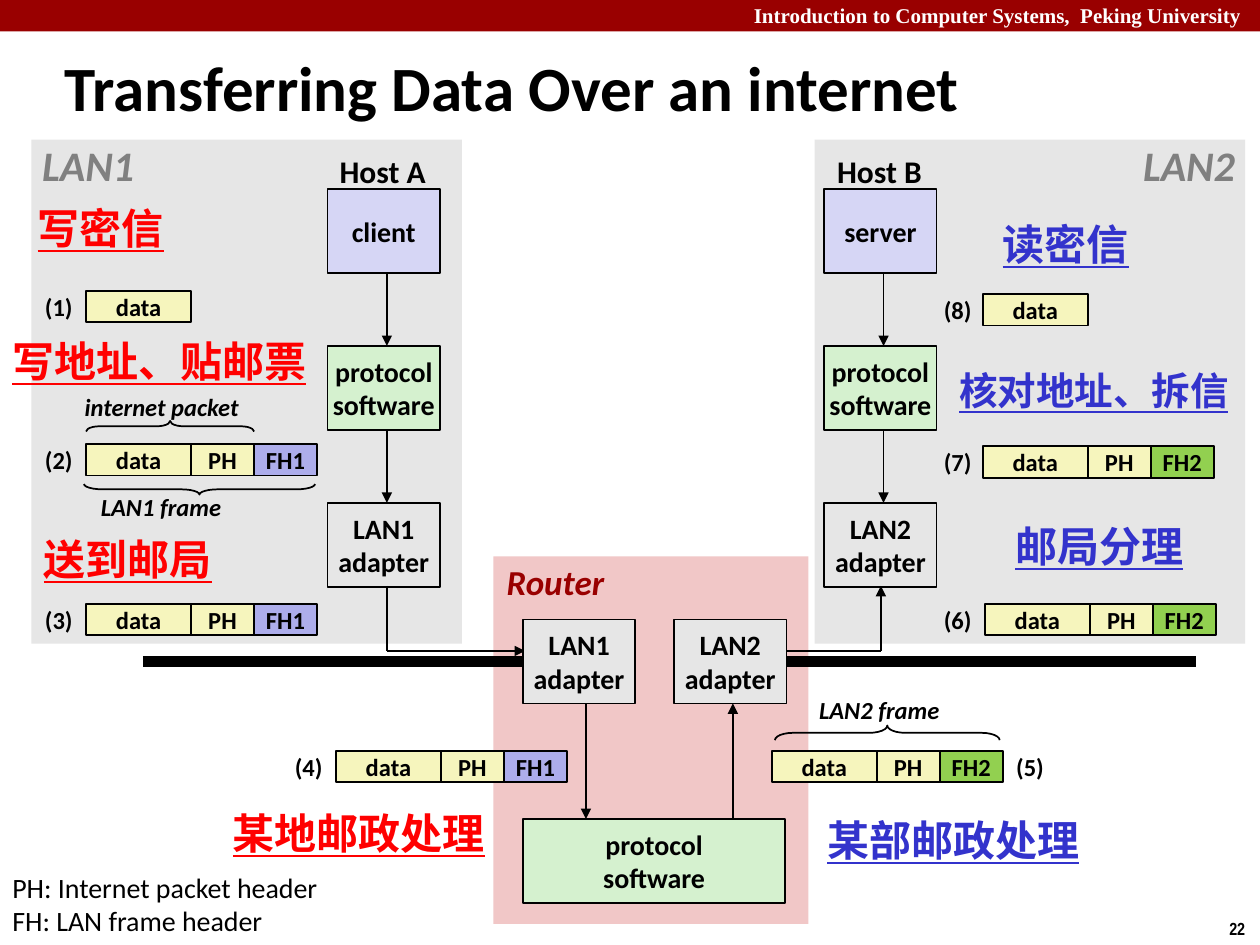
from lxml import etree
from pptx import Presentation
from pptx import util as u
from pptx.dml.color import RGBColor
from pptx.enum import shapes, text
from pptx.oxml import ns

CELL = u.Inches(1) / 12
COLUMNS, ROWS = 120, 90
BLACK, GRAY, RED, BLUE = "000000", "E6E6E6", "FF0000", "3333CC"
DARK_RED, CREAM, GREEN, LILAC = "990000", "F6F5BD", "D5F1CF", "D6D6F5"
FRAME_COLORS = {"FH1": "ADADEB", "FH2": "92D050"}
BOX_WIDTH, BOX_HEIGHT = 10.7, 8
PACKET_WIDTHS = {"data": 10, "PH": 6, "FH1": 6, "FH2": 6}
CJK = "Noto Sans CJK SC"
CENTER, LEFT, RIGHT = text.PP_ALIGN.CENTER, text.PP_ALIGN.LEFT, text.PP_ALIGN.RIGHT


def cells(*values):
    """Turn grid cells into slide lengths."""
    return [u.Emu(round(value * CELL)) for value in values]


def color(target, value):
    """Apply a hex colour to a fill or a font colour."""
    if hasattr(target, "solid"):
        target.solid()
        target = target.fore_color
    target.rgb = RGBColor.from_string(value)


def write(shape, lines, size, ink=BLACK, font="Calibri", align=CENTER, bold=True,
          italic=False, underline=False, wrap=False, middle=True):
    """Fill a shape with one paragraph for each line."""
    frame = shape.text_frame
    frame.word_wrap = wrap
    frame.vertical_anchor = text.MSO_ANCHOR.MIDDLE if middle else text.MSO_ANCHOR.TOP
    for index, line in enumerate(lines.split("\n")):
        paragraph = frame.add_paragraph() if index else frame.paragraphs[0]
        paragraph.alignment = align
        run = paragraph.add_run()
        run.text = line
        run.font.name, run.font.size = font, u.Pt(size)
        run.font.bold, run.font.italic, run.font.underline = bold, italic, underline
        color(run.font.color, ink)
        if font == CJK:
            east_asian = etree.SubElement(run.font._element, ns.qn("a:ea"))
            east_asian.set("typeface", font)


def label(slide, box, lines, size, **style):
    """Place a text box."""
    write(slide.shapes.add_textbox(*cells(*box)), lines, size, **style)


def block(slide, box, fill, lines="", size=16, outlined=True):
    """Place a filled rectangle with optional text."""
    shape = slide.shapes.add_shape(shapes.MSO_SHAPE.RECTANGLE, *cells(*box))
    shape.shadow.inherit = False
    color(shape.fill, fill)
    if outlined:
        color(shape.line.fill, BLACK)
        shape.line.width = u.Pt(1)
    else:
        shape.line.fill.background()
    if lines:
        write(shape, lines, size)


def line(slide, start, end, width=1, arrow=True):
    """Draw a straight line, with an arrowhead at its end if asked."""
    connector = slide.shapes.add_connector(
        shapes.MSO_CONNECTOR.STRAIGHT, *cells(*start, *end))
    color(connector.line.fill, BLACK)
    connector.line.width = u.Pt(width)
    if arrow:
        head = etree.SubElement(connector.line._get_or_add_ln(), ns.qn("a:tailEnd"))
        head.set("type", "triangle")
    etree.SubElement(connector._element.spPr, ns.qn("a:effectLst"))


def brace(slide, box, rotation):
    """Draw a horizontal brace that fills a box, pointing up at 90 and down at 270."""
    left, top, width, height = box
    upright = (left + (width - height) / 2, top + (height - width) / 2, height, width)
    shape = slide.shapes.add_shape(shapes.MSO_SHAPE.LEFT_BRACE, *cells(*upright))
    shape.shadow.inherit = False
    shape.rotation = rotation
    shape.adjustments[0] = width / height / 12.5
    shape.fill.background()
    color(shape.line.fill, BLACK)
    shape.line.width = u.Pt(1)


def packet(slide, left, top, step, parts, step_offset):
    """Lay packet fields side by side with a step number beside them."""
    label(slide, (left + step_offset, top - 0.5, 5.2, 4), f"({step})", 14)
    for part in parts.split():
        block(slide, (left, top, PACKET_WIDTHS[part], 3),
              FRAME_COLORS.get(part, CREAM), part, 14)
        left += PACKET_WIDTHS[part]


def header(slide, box):
    """Draw the course banner, the title and the page number."""
    left, top, width, height = box
    block(slide, (left, top, width, 3), DARK_RED, outlined=False)
    label(slide, (left + 57, top - 0.35, 62.9, 3.6),
          "Introduction to Computer Systems,  Peking University ", 12, ink="FFFFFF",
          font="Times New Roman", align=RIGHT, wrap=True, middle=False)
    label(slide, (left + 5, top + 4.45, 104.2, 7.6),
          "Transferring Data Over an internet", 36, align=LEFT, wrap=True)
    label(slide, (left + width - 4.1, top + height - 3.2, 4.1, 3.2), "22", 10,
          font="Arial Narrow", align=LEFT, middle=False)


def lan(slide, box, name, name_left, host, role, stack_left):
    """Draw a LAN panel with its host's stack of three boxes."""
    left, top, width, height = box
    block(slide, box, GRAY, outlined=False)
    label(slide, (left + name_left, top - 0.6, 11.3, 6), name, 24, ink="808080", italic=True)
    stack = left + stack_left
    label(slide, (stack - 0.1, top + 0.55, BOX_WIDTH, 4.8), host, 18)
    layers = ((LILAC, role), (GREEN, "protocol\nsoftware"), (GRAY, f"{name}\nadapter"))
    for index, (fill, lines) in enumerate(layers):
        layer_top = top + 4.7 + 14.95 * index
        block(slide, (stack, layer_top, BOX_WIDTH, BOX_HEIGHT), fill, lines)
        if index:
            line(slide, (stack + 5.65, layer_top - 6.95), (stack + 5.65, layer_top))


def network(slide, box):
    """Draw the thick cables and the links from hosts to router."""
    left, top, width, height = box
    for start in (left, left + width - 39):
        line(slide, (start, top + height), (start + 39, top + height), 6, arrow=False)
    bend = top + height - 1
    line(slide, (left + 23.25, top), (left + 23.25, bend), arrow=False)
    line(slide, (left + 23.25, bend), (left + 36.4, bend))
    line(slide, (left + 61.3, bend), (left + 70.3, bend), arrow=False)
    line(slide, (left + 70.3, bend), (left + 70.3, top))


def router(slide, box):
    """Draw the router's two adapters and its protocol software."""
    left, top, width, height = box
    label(slide, (left, top - 0.2, 11.8, 5.2), "Router", 20, ink=DARK_RED, italic=True)
    upper, lower = top + 6, top + 25
    for offset, name in ((2.8, "LAN1"), (17.2, "LAN2")):
        block(slide, (left + offset, upper, BOX_WIDTH, BOX_HEIGHT), GRAY, f"{name}\nadapter")
    block(slide, (left + 2.8, lower, 25, BOX_HEIGHT), GREEN, "protocol\nsoftware")
    line(slide, (left + 8.8, upper + BOX_HEIGHT), (left + 8.8, lower))
    line(slide, (left + 22.8, lower), (left + 22.8, upper + BOX_HEIGHT))


def packets(slide):
    """Place the packet at each of the eight steps."""
    steps = ((8.2, 27.7, "data", -5.2), (8.2, 42.3, "data PH FH1", -5.2),
             (8.2, 57.5, "data PH FH1", -5.2), (32, 71.5, "data PH FH1", -5.2),
             (73.5, 71.5, "data PH FH2", 22), (93.8, 57.5, "data PH FH2", -5.2),
             (93.6, 42.5, "data PH FH2", -5), (93.6, 28, "data", -5))
    for step, (left, top, parts, step_offset) in enumerate(steps, 1):
        packet(slide, left, top, step, parts, step_offset)
    braces = (((8.2, 40.1, 16, 1), 90, (6.8, 36.7, 17.2, 4.1), "internet packet"),
              ((8, 46.1, 22, 1), 270, (8.4, 46.2, 13.9, 4.1), "LAN1 frame"),
              ((73.8, 69.1, 21.4, 1.4), 90, (76.8, 65.5, 13.9, 4.1), "LAN2 frame"))
    for box, rotation, caption_box, caption in braces:
        brace(slide, box, rotation)
        label(slide, caption_box, caption, 14, italic=True)


def postal_notes(slide):
    """Place the postal analogy beside each step and the legend below."""
    notes = ((2.4, 18.7, 14.5, RED, 24, "写密信"), (0, 31.4, 30.7, RED, 24, "写地址、贴邮票"),
             (3, 50.2, 18.6, RED, 24, "送到邮局"), (21, 76.3, 26.6, RED, 24, "某地邮政处理"),
             (77.6, 77, 26.6, BLUE, 24, "某部邮政处理"), (95.5, 49, 18.6, BLUE, 24, "邮局分理"),
             (90.2, 34.4, 28.3, BLUE, 22, "核对地址、拆信"), (94.3, 20.2, 14.5, BLUE, 24, "读密信"))
    for left, top, width, ink, size, note in notes:
        label(slide, (left, top, width, size / 4), note, size, ink=ink, font=CJK,
              align=LEFT, underline=True, middle=False)
    label(slide, (0, 82.3, 32.4, 7.7), "PH: Internet packet header\nFH: LAN frame header",
          16, align=LEFT, bold=False, middle=False)


def main():
    """Build and save the slide."""
    presentation = Presentation()
    presentation.slide_width, presentation.slide_height = cells(COLUMNS, ROWS)
    slide = presentation.slides.add_slide(presentation.slide_layouts[6])
    router_box = (47, 53, 30, 35)
    header(slide, (0, 0, COLUMNS, ROWS))
    block(slide, router_box, "F1C7C7", outlined=False)
    lan(slide, (3, 13.3, 41, 48), "LAN1", -0.25, "Host A", "client", 28.2)
    lan(slide, (77.6, 13.3, 41, 48), "LAN2", 30, "Host B", "server", 0.9)
    network(slide, (13.6, 55.8, 100.3, 7.2))
    router(slide, router_box)
    packets(slide)
    postal_notes(slide)
    presentation.save("out.pptx")


if __name__ == "__main__":
    main()
